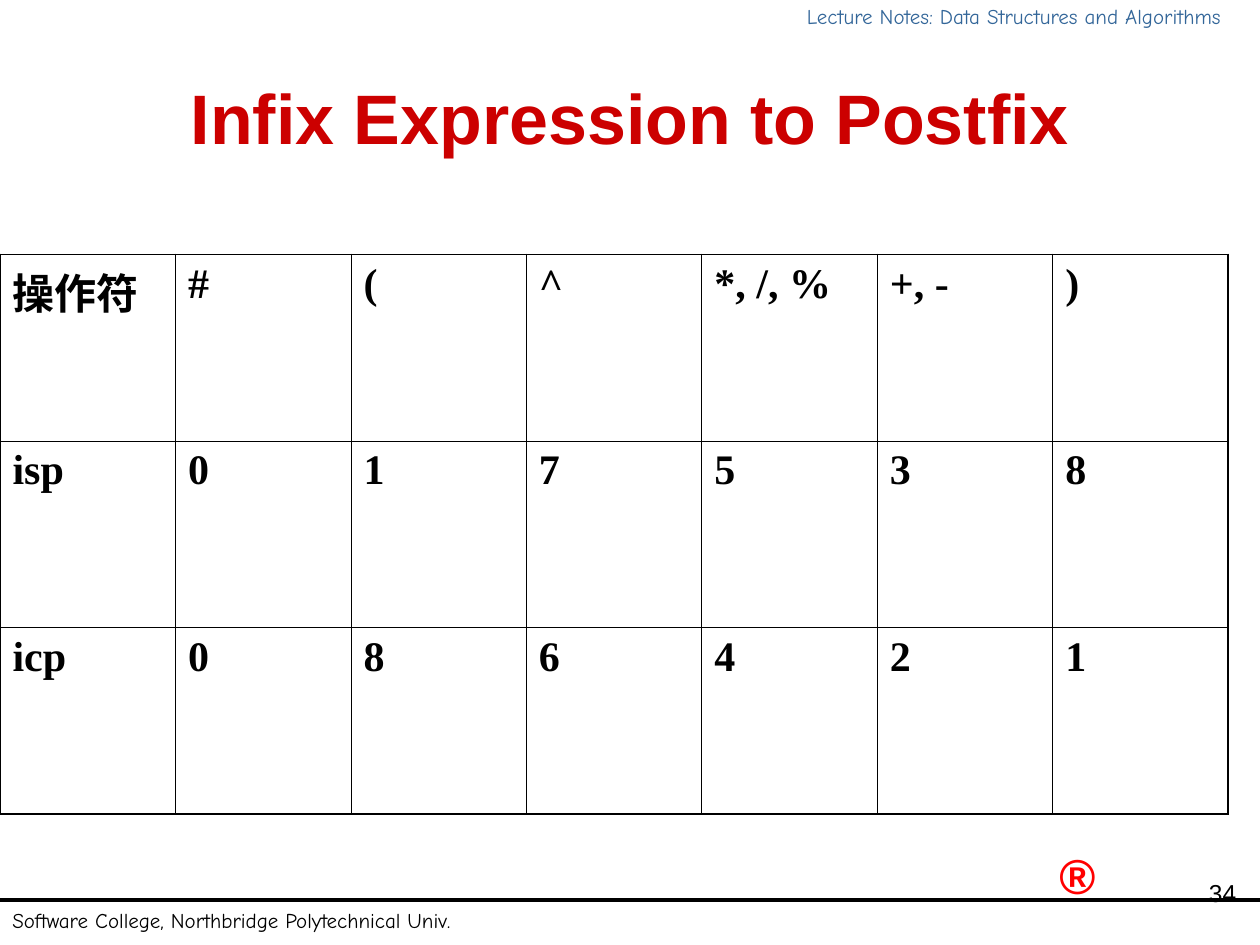
from lxml.etree import SubElement
from pptx import Presentation
from pptx.dml.color import RGBColor
from pptx.enum.shapes import MSO_CONNECTOR
from pptx.enum.text import MSO_ANCHOR, MSO_AUTO_SIZE as AutoSize, PP_ALIGN as Align
from pptx.oxml.ns import qn
from pptx.util import Inches, Pt

BLACK = "000000"
OUTER_RULE, INNER_RULE = 1.08, 0.45
PRECEDENCES = [
    ["操作符", "#", "(", "^", "*, /, %", "+, -", ")"],
    ["isp", "0", "1", "7", "5", "3", "8"],
    ["icp", "0", "8", "6", "4", "2", "1"],
]


def rgb(color):
    return RGBColor.from_string(color)


def write(frame, text, *, size, font="Arial", color=BLACK, bold=False,
          align=Align.LEFT, line_spacing=None, space_before=None):
    """Put one formatted paragraph into a text frame."""
    paragraph = frame.paragraphs[0]
    paragraph.alignment = align
    paragraph.line_spacing = line_spacing
    if space_before is not None:
        paragraph.space_before = Pt(space_before)
    run = paragraph.add_run()
    run.text = text
    run.font.size = Pt(size)
    run.font.name = font
    run.font.bold = bold
    run.font.color.rgb = rgb(color)


def place(shape, left, top, width, height):
    shape.left, shape.top = Inches(left), Inches(top)
    shape.width, shape.height = Inches(width), Inches(height)


def add_label(slide, box, text, wrap=True, grow=True, **text_format):
    label = slide.shapes.add_textbox(*map(Inches, box))
    frame = label.text_frame
    frame.word_wrap = wrap
    frame.auto_size = AutoSize.SHAPE_TO_FIT_TEXT if grow else AutoSize.NONE
    write(frame, text, **text_format)


def add_title(slide, text):
    title = slide.shapes.title
    place(title, 0.5, 0.3, 9, 1.25)
    title.text_frame.auto_size = AutoSize.NONE
    title.text_frame.vertical_anchor = MSO_ANCHOR.MIDDLE
    write(title.text_frame, text, size=40, color="CC0000", bold=True,
          align=Align.CENTER)


def add_footer_rule(slide, y):
    rule = slide.shapes.add_connector(
        MSO_CONNECTOR.STRAIGHT, 0, Inches(y), Inches(10), Inches(y))
    rule.line.color.rgb = rgb(BLACK)
    rule.line.width = Pt(2.25)
    SubElement(rule.element.spPr, qn("a:effectLst"))


def set_borders(cell, widths):
    """Draw cell borders; widths are points for left, right, top, bottom."""
    properties = cell._tc.get_or_add_tcPr()
    for index, (side, width) in enumerate(zip("LRTB", widths)):
        border = properties.makeelement(qn(f"a:ln{side}"), {"w": str(Pt(width))})
        fill = SubElement(border, qn("a:solidFill"))
        SubElement(fill, qn("a:srgbClr"), val=BLACK)
        properties.insert(index, border)


def add_precedence_table(slide, rows):
    row_count, column_count = len(rows), len(rows[0])
    table = slide.shapes.add_table(
        row_count, column_count, 0, Inches(2.02), Inches(9.75), Inches(4.44)).table
    table.first_row = table.horz_banding = False
    for r, row in enumerate(rows):
        for c, text in enumerate(row):
            cell = table.cell(r, c)
            cell.fill.background()
            write(cell.text_frame, text, size=24, font="Times New Roman", bold=True)
            on_edge = (c == 0, c == column_count - 1, r == 0, r == row_count - 1)
            set_borders(cell, [OUTER_RULE if edge else INNER_RULE for edge in on_edge])


def main():
    deck = Presentation()
    deck.slide_width, deck.slide_height = Inches(10), Inches(7.5)
    slide = deck.slides.add_slide(deck.slide_layouts[5])

    add_label(slide, (6.28, 0.05, 3.51, 0.22),
              "Lecture Notes: Data Structures and Algorithms", wrap=False,
              size=12, font="Comic Neue", color="336699", align=Align.RIGHT,
              line_spacing=0.6)
    add_label(slide, (0, 7.21, 4.33, 0.24),
              "Software College, Northbridge Polytechnical Univ.",
              size=12, font="Comic Neue", line_spacing=0.7, space_before=7.5)
    add_footer_rule(slide, 7.14)
    add_title(slide, "Infix Expression to Postfix")
    add_precedence_table(slide, PRECEDENCES)
    add_label(slide, (8.31, 6.66, 0.55, 0.57), "®", wrap=False,
              size=28, color="FF0000", bold=True)
    add_label(slide, (7.83, 6.92, 2.08, 0.5), "34", grow=False,
              size=14, align=Align.RIGHT)

    deck.save("out.pptx")


if __name__ == "__main__":
    main()
